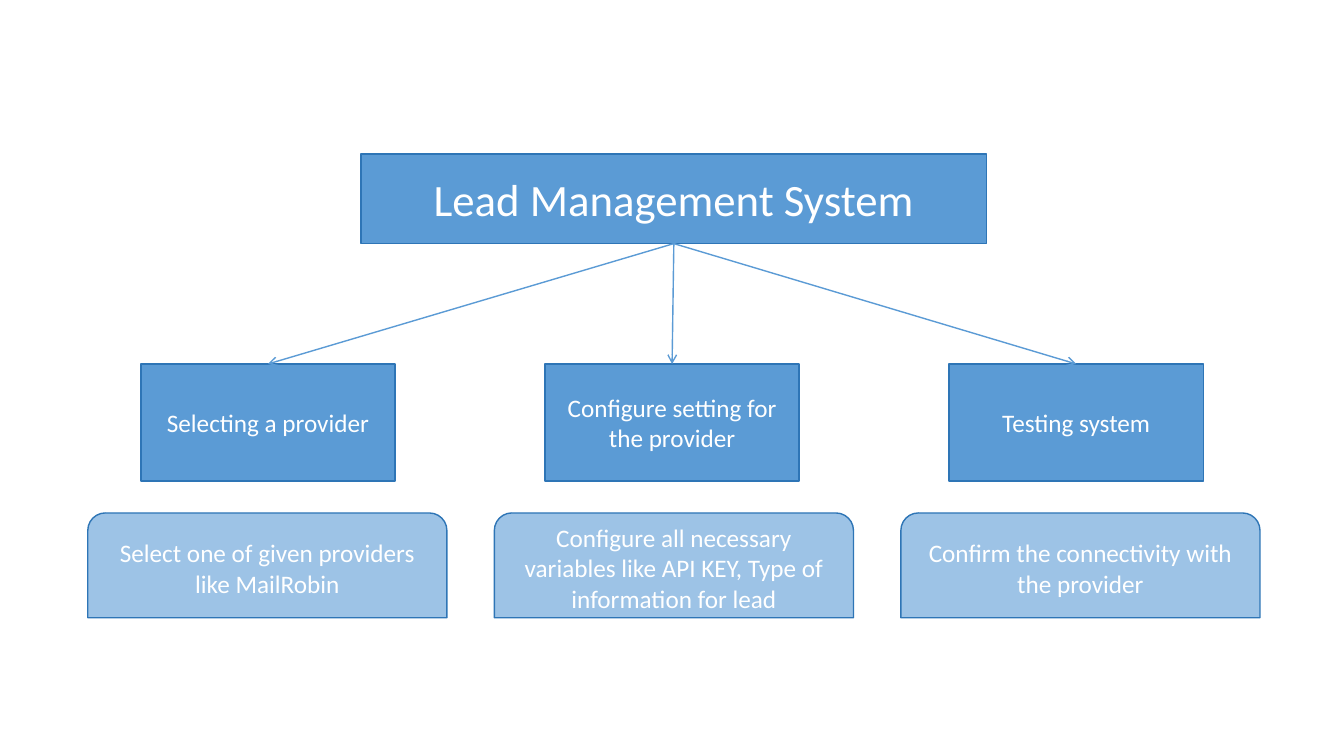
from lxml import etree
from pptx import Presentation
from pptx import util as u
from pptx.dml.color import RGBColor
from pptx.enum import shapes, text
from pptx.oxml.ns import qn

BLUE, PALE, EDGE, WHITE = "5B9BD5", "9DC3E6", "2E75B6", "FFFFFF"
RECT = {"kind": shapes.MSO_SHAPE.RECTANGLE, "fill": BLUE}
TAB = {"kind": shapes.MSO_SHAPE.ROUND_2_SAME_RECTANGLE, "fill": PALE}
STEPS = ["Selecting a provider", "Configure setting for the provider", "Testing system"]
NOTES = [
    "Select one of given providers like MailRobin",
    "Configure all necessary variables like API KEY, Type of information for lead",
    "Confirm the connectivity with the provider",
]


def paint(fmt, color):
    """Give a fill or font the solid colour of a hex string."""
    if hasattr(fmt, "solid"):
        fmt.solid()
        fmt = fmt.fore_color
    else:
        fmt = fmt.color
    fmt.rgb = RGBColor.from_string(color)


def add_box(s, box, label, kind, fill, size=18):
    """Add one outlined shape with a centred label."""
    sp = s.shapes.add_shape(kind, *map(u.Pt, box))
    sp.shadow.inherit = False
    paint(sp.fill, fill)
    paint(sp.line, EDGE)
    sp.line.width = u.Pt(1)
    tf = sp.text_frame
    for name, value in {"word_wrap": True, "vertical_anchor": text.MSO_ANCHOR.MIDDLE}.items():
        setattr(tf, name, value)
    p = tf.paragraphs[0]
    p.alignment = text.PP_ALIGN.CENTER
    r = p.add_run()
    r.text = label
    for name, value in {"name": "Calibri", "size": u.Pt(size)}.items():
        setattr(r.font, name, value)
    paint(r.font.fill, WHITE)
    return sp


def add_row(s, box, width, labels, style):
    """Spread equal shapes across the box and return them."""
    x, y, w, h = box
    pitch = (w - width) / (len(labels) - 1)
    return [add_box(s, (x + i * pitch, y, width, h), label, **style)
            for i, label in enumerate(labels)]


def add_arrow(s, parent, child):
    """Join the bottom of the parent to the top of the child."""
    c = s.shapes.add_connector(shapes.MSO_CONNECTOR.STRAIGHT, 0, 0, 0, 0)
    c.begin_connect(parent, 2)
    c.end_connect(child, 0)
    paint(c.line, BLUE)
    c.line.width = u.Pt(1)
    etree.SubElement(c.line._get_or_add_ln(), qn("a:tailEnd"), type="arrow")
    etree.SubElement(c._element.spPr, qn("a:effectLst"))


def add_tree(s, box):
    """Place the system, its steps and their notes inside the box."""
    x, y, w, h = box
    root = add_box(s, (x + (w - 447) / 2, y, 447, 64), "Lead Management System", size=32, **RECT)
    steps = add_row(s, (x + 38, y + 150, w - 78.5, 83.5), 181.5, STEPS, RECT)
    for step in steps:
        add_arrow(s, root, step)
    add_row(s, (x, y + h - 74.8, w, 74.8), 256.5, NOTES, TAB)


def main():
    """Build the slide and save it."""
    prs = Presentation()
    prs.slide_width, prs.slide_height = u.Pt(960), u.Pt(540)
    s = prs.slides.add_slide(prs.slide_layouts[6])
    add_tree(s, (62.7, 110, 837.3, 331.2))
    prs.save("out.pptx")


if __name__ == "__main__":
    main()
